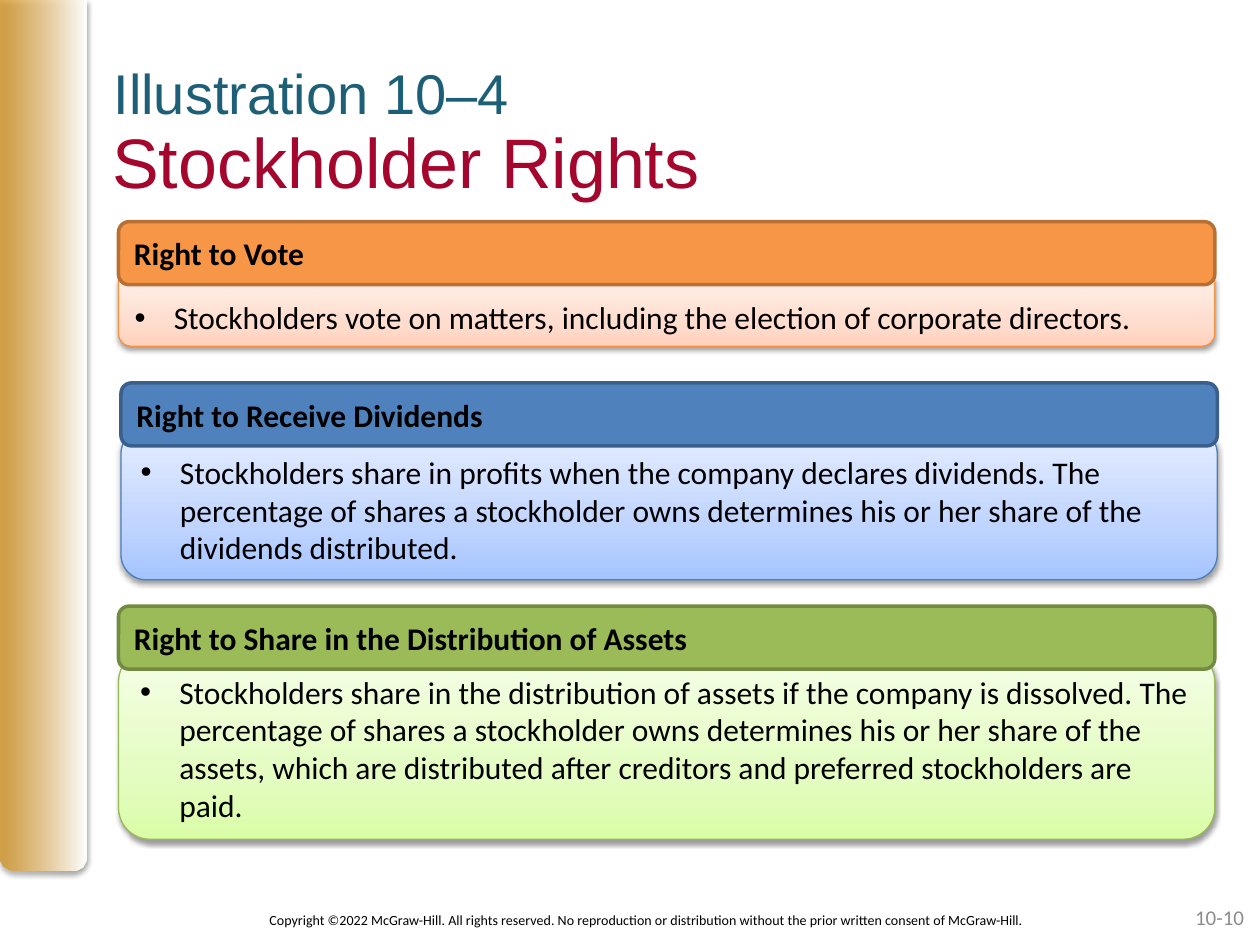
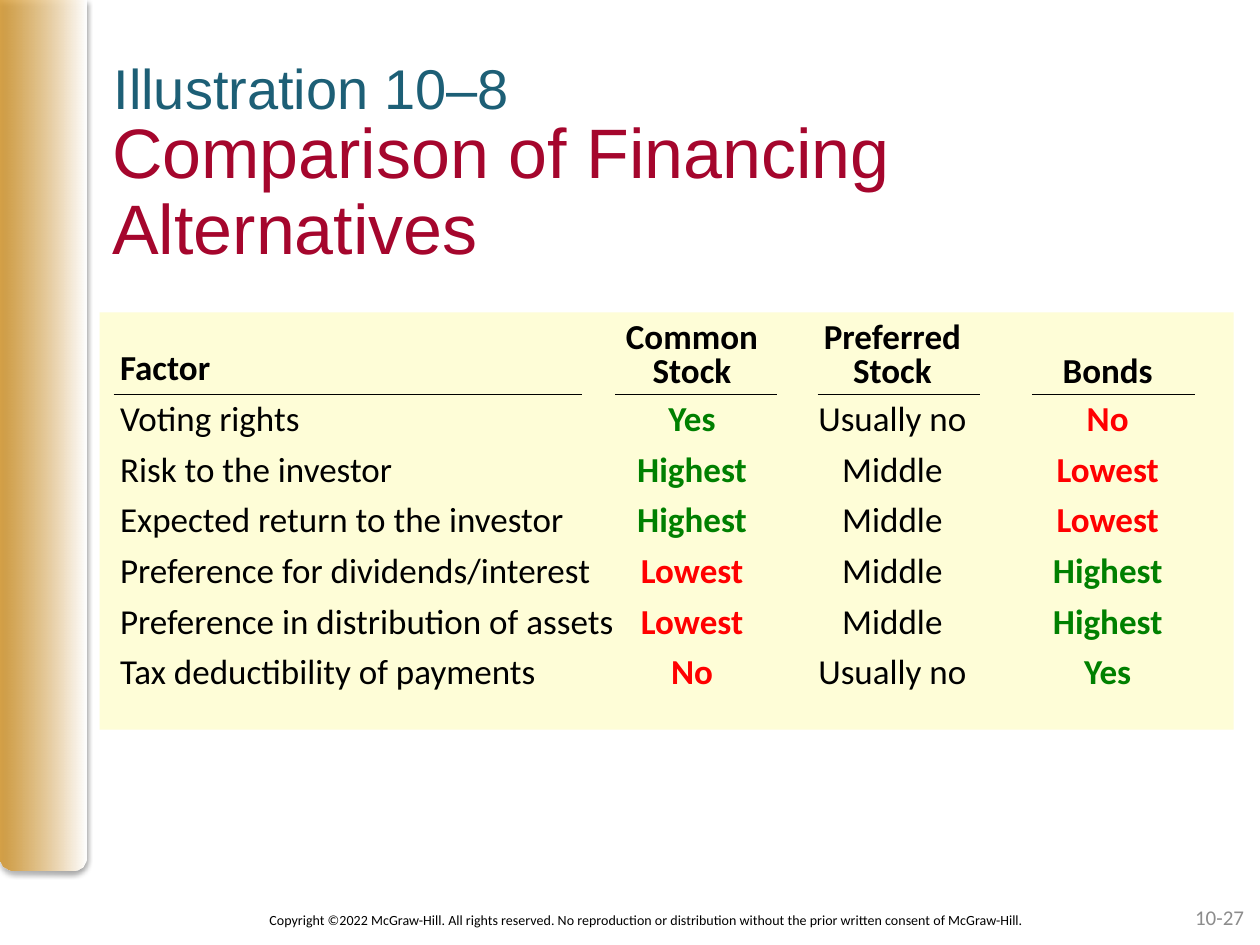
from lxml import etree
from pptx import Presentation
from pptx import util as u
from pptx.dml.color import RGBColor
from pptx.enum import shapes, text
from pptx.oxml.ns import qn

Cm, Pt = u.Cm, u.Pt

BLACK = RGBColor(0, 0, 0)
WHITE = RGBColor(0xFF, 0xFF, 0xFF)
TEAL = RGBColor(0x1D, 0x5F, 0x76)
CRIMSON = RGBColor(0xA5, 0x06, 0x2D)
GRAY = RGBColor(0x8C, 0x8C, 0x8C)
GOLD = RGBColor(0xD4, 0x93, 0x23)
CREAM = RGBColor(0xFE, 0xFD, 0xD7)
GREEN = RGBColor(0, 0x80, 0)
RED = RGBColor(0xFF, 0, 0)

ORANGE_CARD = dict(fill="F79646", edge="B76F34", rim="F69240",
                   shades=("FFD2BD", "FFDED0", "FFF2ED"))
BLUE_CARD = dict(fill="4F81BD", edge="3A5F8C", rim="4B7EBC",
                 shades=("A4C4FF", "BFD4FF", "E6EEFF"))
GREEN_CARD = dict(fill="9BBB59", edge="738A42", rim="98B955",
                  shades=("DAFDA7", "E4FCC2", "F5FFE7"))

TITLE = dict(name="Arial", size=Pt(40), color=CRIMSON)
KICKER = dict(name="Arial", size=Pt(32), color=TEAL)
COPYRIGHT = dict(name="Calibri", size=Pt(8), color=BLACK)
PAGE_NUMBER = dict(name="Calibri", size=Pt(12), color=GRAY)
CARD_HEAD = dict(name="Calibri", size=Pt(18), color=BLACK, bold=True)
CARD_BODY = dict(name="Calibri", size=Pt(18), color=BLACK, bold=False)
CELL = dict(name="Calibri", size=Pt(20), color=BLACK, bold=False)

COPYRIGHT_TEXT = ("Copyright ©2022 McGraw-Hill. All rights reserved. No reproduction or "
                  "distribution without the prior written consent of McGraw-Hill.")

RIGHTS = [  # heading, explanation, left, head top, body top, body height, colours
    ("Right to Vote",
     "Stockholders vote on matters, including the election of corporate directors.",
     2.39, 4.47, 5.46, 1.52, ORANGE_CARD),
    ("Right to Receive Dividends",
     "Stockholders share in profits when the company declares dividends. The percentage "
     "of shares a stockholder owns determines his or her share of the dividends distributed.",
     2.44, 7.72, 8.64, 3.05, BLUE_CARD),
    ("Right to Share in the Distribution of Assets",
     "Stockholders share in the distribution of assets if the company is dissolved. The "
     "percentage of shares a stockholder owns determines his or her share of the assets, "
     "which are distributed after creditors and preferred stockholders are paid.",
     2.39, 12.22, 13.11, 3.81, GREEN_CARD),
]

FACTORS = [
    ("Factor", "Common\nStock", "Preferred\nStock", "Bonds"),
    ("Voting rights", "Yes", "Usually no", "No"),
    ("Risk to the investor", "Highest", "Middle", "Lowest"),
    ("Expected return to the investor", "Highest", "Middle", "Lowest"),
    ("Preference for dividends/interest", "Lowest", "Middle", "Highest"),
    ("Preference in distribution of assets", "Lowest", "Middle", "Highest"),
    ("Tax deductibility of payments", "No", "Usually no", "Yes"),
]
ANSWER_COLORS = {"Yes": GREEN, "Highest": GREEN, "No": RED, "Lowest": RED}
COLUMN_WIDTHS = (10.44, 3.0, 5.08, 3.6)
HEADER_RULES = ((2.29, 11.73), (12.4, 15.67), (16.48, 19.76), (20.8, 24.08))


def write(frame, content, style, align=text.PP_ALIGN.LEFT,
          anchor=text.MSO_ANCHOR.TOP, spacing=None):
    frame.word_wrap = True
    frame.vertical_anchor = anchor
    frame.text = content
    for paragraph in frame.paragraphs:
        paragraph.alignment = align
        if spacing:
            paragraph.line_spacing = spacing
        for run in paragraph.runs:
            for key, value in style.items():
                if key == "color":
                    run.font.color.rgb = value
                else:
                    setattr(run.font, key, value)


def add_text(slide, box, content, style, inset=None, **layout):
    frame = slide.shapes.add_textbox(*map(Cm, box)).text_frame
    if inset is not None:
        for side in ("left", "top", "right", "bottom"):
            setattr(frame, f"margin_{side}", Cm(inset))
    write(frame, content, style, **layout)


def add_panel(slide, kind, box, fill=None, edge=None, edge_width=0):
    shape = slide.shapes.add_shape(kind, *map(Cm, box))
    shape.shadow.inherit = False
    if fill is not None:
        shape.fill.solid()
        shape.fill.fore_color.rgb = fill
    if edge is None:
        shape.line.fill.background()
    else:
        shape.line.color.rgb = edge
        shape.line.width = Pt(edge_width)
    return shape


def add_color(parent, color, alpha=100):
    node = etree.SubElement(parent, qn("a:srgbClr"), val=str(color))
    if alpha < 100:
        etree.SubElement(node, qn("a:alpha"), val=str(alpha * 1000))


def set_gradient(shape, stops, angle):
    """Fill with (position, colour, opacity) stops; angle runs counter-clockwise."""
    shape.fill.gradient()
    shape.fill.gradient_angle = angle
    stop_list = shape._element.spPr.find(".//" + qn("a:gsLst"))
    for stop in list(stop_list):
        stop_list.remove(stop)
    for position, color, alpha in stops:
        stop = etree.SubElement(stop_list, qn("a:gs"), pos=str(position * 1000))
        add_color(stop, color, alpha)


def add_shadow(shape, alpha, distance):
    effects = shape._element.spPr.find(qn("a:effectLst"))
    shadow = etree.SubElement(effects, qn("a:outerShdw"), blurRad=str(Pt(3.1)),
                              dist=str(Pt(distance)), dir="5400000", rotWithShape="0")
    add_color(shadow, BLACK, alpha)


def add_bullet(paragraph, indent):
    properties = paragraph._p.get_or_add_pPr()
    properties.set("marL", str(Cm(indent)))
    properties.set("indent", str(-Cm(indent)))
    etree.SubElement(properties, qn("a:buFont"), typeface="Arial")
    etree.SubElement(properties, qn("a:buChar"), char="•")


def add_base_slide(presentation, kicker, kicker_top, title, number, title_spacing=None):
    """Add a slide with the gold band, both title lines and the footer."""
    slide = presentation.slides.add_slide(presentation.slide_layouts[5])
    band = add_panel(slide, shapes.MSO_SHAPE.ROUND_2_SAME_RECTANGLE, (0, 0, 1.75, 17.55))
    band.adjustments[0], band.adjustments[1] = 0, 0.17
    set_gradient(band, [(0, GOLD, 80), (100, WHITE, 100)], 0)
    add_shadow(band, 35, 1.8)

    heading = slide.shapes.title
    for key, value in dict(left=2.01, top=2.26, width=22.86, height=3.18).items():
        setattr(heading, key, Cm(value))
    write(heading.text_frame, title, TITLE, spacing=title_spacing)
    heading.text_frame.auto_size = text.MSO_AUTO_SIZE.NONE

    middle = text.MSO_ANCHOR.MIDDLE
    add_text(slide, (2.29, kicker_top, 16.71, 1.12), kicker, KICKER, inset=0)
    add_text(slide, (3.96, 18.03, 18.16, 1.02), COPYRIGHT_TEXT, COPYRIGHT,
             align=text.PP_ALIGN.CENTER, anchor=middle)
    add_text(slide, (19.41, 17.98, 5.92, 1.02), number, PAGE_NUMBER,
             align=text.PP_ALIGN.RIGHT, anchor=middle)
    return slide


def add_right_card(slide, heading, explanation, left, head_top, body_top, body_height, colors):
    width, head_height = 22.1, 1.27
    rounded = shapes.MSO_SHAPE.ROUNDED_RECTANGLE
    color = RGBColor.from_string

    body = add_panel(slide, rounded, (left, body_top, width, body_height),
                     edge=color(colors["rim"]), edge_width=0.75)
    set_gradient(body, [(position, shade, 100)
                        for position, shade in zip((0, 35, 100), colors["shades"])], 90)
    add_shadow(body, 38, 1.6)
    write(body.text_frame, explanation, CARD_BODY, anchor=text.MSO_ANCHOR.BOTTOM)
    add_bullet(body.text_frame.paragraphs[0], 0.79)

    head = add_panel(slide, rounded, (left, head_top, width, head_height),
                     color(colors["fill"]), color(colors["edge"]), 2)
    write(head.text_frame, heading, CARD_HEAD, anchor=text.MSO_ANCHOR.MIDDLE)


def add_rule(slide, start, end, top):
    rule = slide.shapes.add_connector(shapes.MSO_CONNECTOR.STRAIGHT,
                                      Cm(start), Cm(top), Cm(end), Cm(top))
    rule.line.color.rgb = BLACK
    rule.line.width = Pt(1)
    etree.SubElement(rule._element.spPr, qn("a:effectLst"))


def add_factor_table(slide, left, top, header_height, row_height):
    height = header_height + row_height * (len(FACTORS) - 1)
    frame = slide.shapes.add_table(len(FACTORS), len(COLUMN_WIDTHS), Cm(left), Cm(top),
                                   Cm(sum(COLUMN_WIDTHS)), Cm(height))
    table = frame.table
    table.first_row = table.horz_banding = False
    no_grid = "{2D5ABB26-0587-4C30-8999-92F81FD0307C}"
    table._tbl.tblPr.find(qn("a:tableStyleId")).text = no_grid
    for column, width in zip(table.columns, COLUMN_WIDTHS):
        column.width = Cm(width)
    for row_index, values in enumerate(FACTORS):
        is_header = row_index == 0
        table.rows[row_index].height = Cm(header_height if is_header else row_height)
        for column_index, value in enumerate(values):
            is_factor = column_index == 0
            cell = table.cell(row_index, column_index)
            cell.fill.background()
            cell.margin_left = Cm(0.41 if is_factor else 0)
            cell.margin_right = cell.margin_top = Cm(0)
            cell.margin_bottom = Cm(0.08 if is_header else 0)
            style = CELL | dict(bold=is_header or value in ANSWER_COLORS,
                                color=ANSWER_COLORS.get(value, BLACK))
            anchor = text.MSO_ANCHOR.BOTTOM if is_header else text.MSO_ANCHOR.MIDDLE
            write(cell.text_frame, value, style,
                  align=text.PP_ALIGN.LEFT if is_factor else text.PP_ALIGN.CENTER,
                  spacing=0.8 if is_header and not is_factor else None)
            cell.vertical_anchor = anchor


def main():
    presentation = Presentation()
    presentation.slide_width, presentation.slide_height = Cm(25.4), Cm(19.05)

    rights = add_base_slide(presentation, "Illustration 10–4", 1.19,
                            "Stockholder Rights", "10-10")
    for card in RIGHTS:
        add_right_card(rights, *card)

    financing = add_base_slide(presentation, "Illustration 10–8", 1.07,
                               "Comparison of Financing Alternatives", "10-27", 0.9)
    add_panel(financing, shapes.MSO_SHAPE.RECTANGLE, (2.01, 6.3, 22.86, 8.41), CREAM)
    add_factor_table(financing, 2.01, 6.3, 1.65, 1.02)
    for start, end in HEADER_RULES:
        add_rule(financing, start, end, 7.95)

    presentation.save("out.pptx")


if __name__ == "__main__":
    main()
